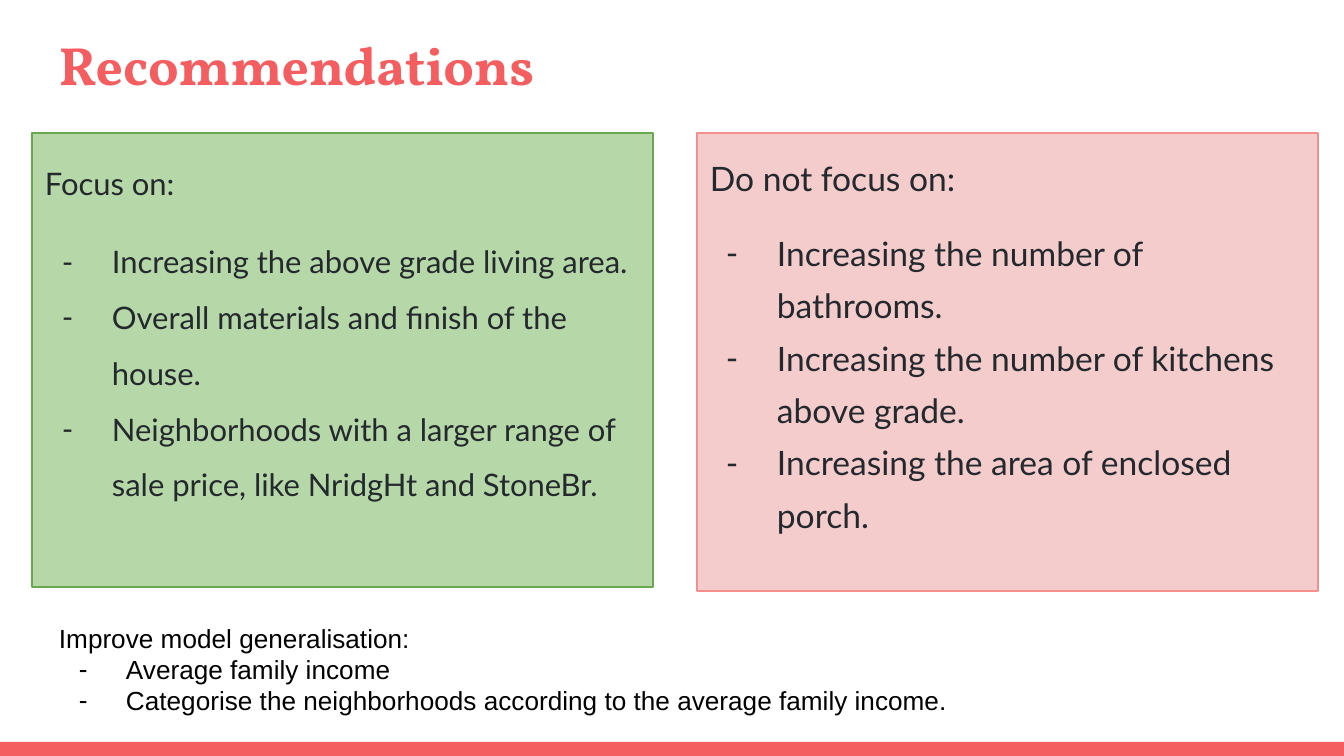
"""Build a recommendations slide with two panels and a closing note."""
from dataclasses import dataclass

from lxml import etree
from pptx import Presentation
from pptx.dml.color import RGBColor
from pptx.enum.shapes import MSO_SHAPE
from pptx.enum.text import MSO_ANCHOR, PP_ALIGN
from pptx.oxml.ns import qn
from pptx.util import Emu, Pt

RECT = MSO_SHAPE.RECTANGLE
TOP = MSO_ANCHOR.TOP
LEFT = PP_ALIGN.LEFT
SCALE = 914400 / 134.4


@dataclass(frozen=True)
class Style:
    """Describe the type used in one block of text."""
    font: str
    size: float
    color: str
    bold: bool = False
    leading: float = 1.0
    gap: int = 0
    hang: int = 0


@dataclass(frozen=True)
class Theme:
    """Hold the colours and type sizes of the slide."""
    accent: str = "F55E61"
    green: str = "B6D7A8"
    green_edge: str = "6AA84F"
    pink: str = "F4CCCC"
    pink_edge: str = "F58F8F"
    title: Style = Style("Vollkorn", 28.8, "F55E61", bold=True)
    focus: Style = Style("Lato", 16.6, "24292E", leading=1.5, gap=12, hang=50)
    avoid: Style = Style("Lato", 18, "24292E", leading=1.3, gap=12, hang=51)
    note: Style = Style("Arial", 14, "000000", hang=47)


THEME = Theme()


def px(count):
    """Turn pixels into EMU."""
    return Emu(round(count * SCALE))


def add_dash(para, style):
    """Give a paragraph a hanging dash."""
    props = para._p.get_or_add_pPr()
    props.set("marL", str(px(67)))
    props.set("indent", str(-px(style.hang)))
    color = etree.SubElement(props, qn("a:buClr"))
    etree.SubElement(color, qn("a:srgbClr"), val=style.color)
    etree.SubElement(props, qn("a:buFont"), typeface=style.font)
    etree.SubElement(props, qn("a:buChar"), char="-")


def write(shape, style, head, items=()):
    """Write a heading and its dashed items into a shape."""
    frame = shape.text_frame
    frame.word_wrap = True
    frame.vertical_anchor = TOP
    frame.margin_left = frame.margin_right = px(13)
    frame.margin_top = frame.margin_bottom = px(13)
    for index, text in enumerate((head, *items)):
        para = frame.add_paragraph() if index else frame.paragraphs[0]
        para.text = text
        if index:
            add_dash(para, style)
        para.alignment = LEFT
        para.line_spacing = style.leading
        para.space_before = Pt(style.gap if index == 1 else 0)
        para.font.name = style.font
        para.font.size = Pt(style.size)
        para.font.bold = style.bold
        para.font.color.rgb = RGBColor.from_string(style.color)


def add_panel(slide, box, fill, edge=None):
    """Add a filled rectangle with an optional thin edge."""
    panel = slide.shapes.add_shape(RECT, *map(px, box))
    panel.shadow.inherit = False
    panel.fill.solid()
    panel.fill.fore_color.rgb = RGBColor.from_string(fill)
    if edge:
        panel.line.color.rgb = RGBColor.from_string(edge)
        panel.line.width = Pt(0.75)
    else:
        panel.line.fill.background()
    return panel


def add_text(slide, box, style, head, items=()):
    """Add a plain text box."""
    write(slide.shapes.add_textbox(*map(px, box)), style, head, items)


def main():
    """Build and save the slide."""
    deck = Presentation()
    deck.slide_width, deck.slide_height = px(1344), px(756)
    slide = deck.slides.add_slide(deck.slide_layouts[6])

    add_panel(slide, (0, 742, 1344, 14), THEME.accent)
    add_text(slide, (46, 19, 1253, 91), THEME.title, "Recommendations")

    focus = add_panel(slide, (32, 133, 621, 454), THEME.green, THEME.green_edge)
    write(focus, THEME.focus, "Focus on:", (
        "Increasing the above grade living area.",
        "Overall materials and finish of the house.",
        "Neighborhoods with a larger range of sale price, "
        "like NridgHt and StoneBr.",
    ))

    avoid = add_panel(slide, (697, 133, 621, 458), THEME.pink, THEME.pink_edge)
    write(avoid, THEME.avoid, "Do not focus on:", (
        "Increasing the number of bathrooms.",
        "Increasing the number of kitchens above grade.",
        "Increasing the area of enclosed porch.",
    ))

    add_text(slide, (46, 609, 1231, 122), THEME.note,
             "Improve model generalisation:", (
                 "Average family income",
                 "Categorise the neighborhoods according to "
                 "the average family income.",
             ))
    deck.save("out.pptx")


if __name__ == "__main__":
    main()
